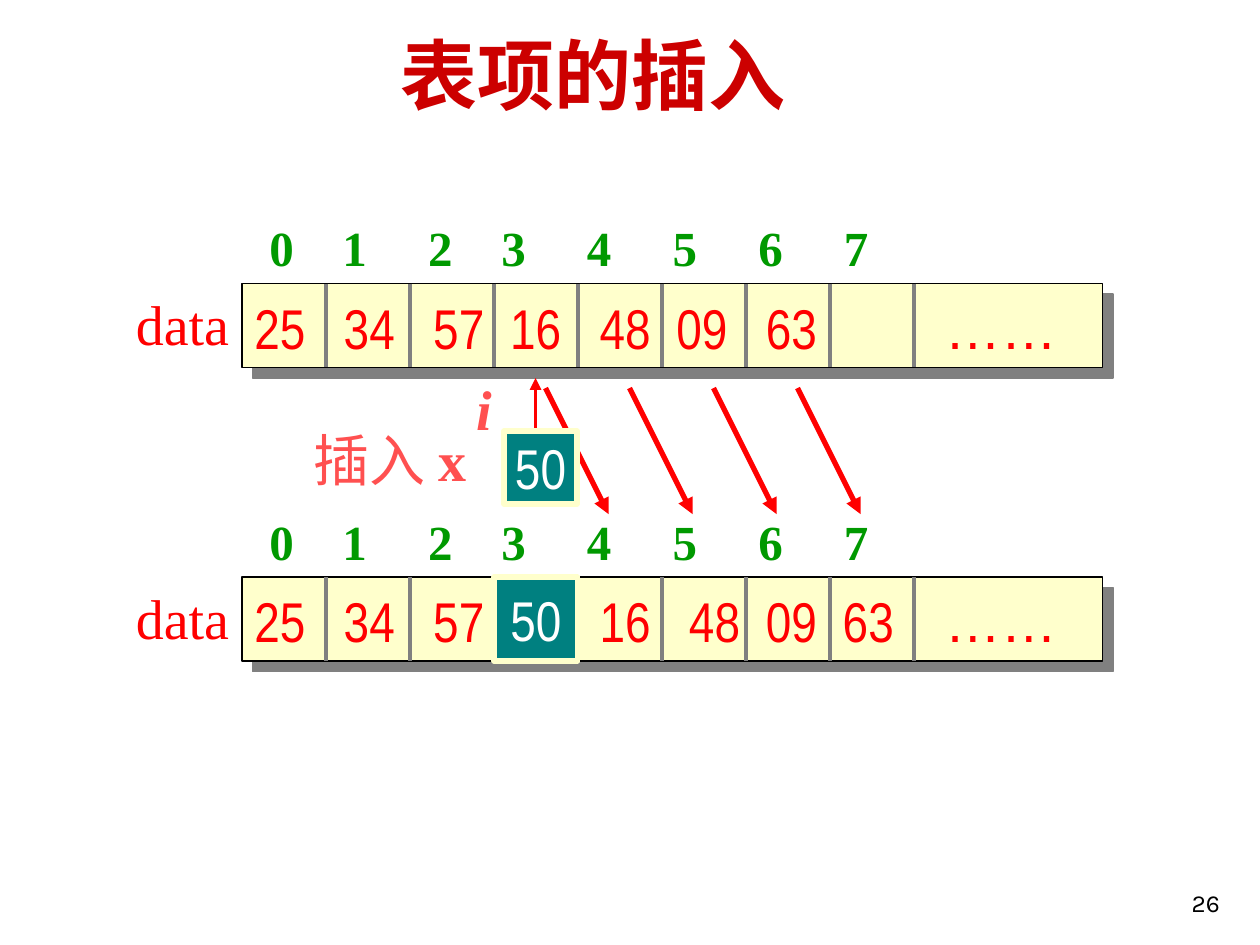
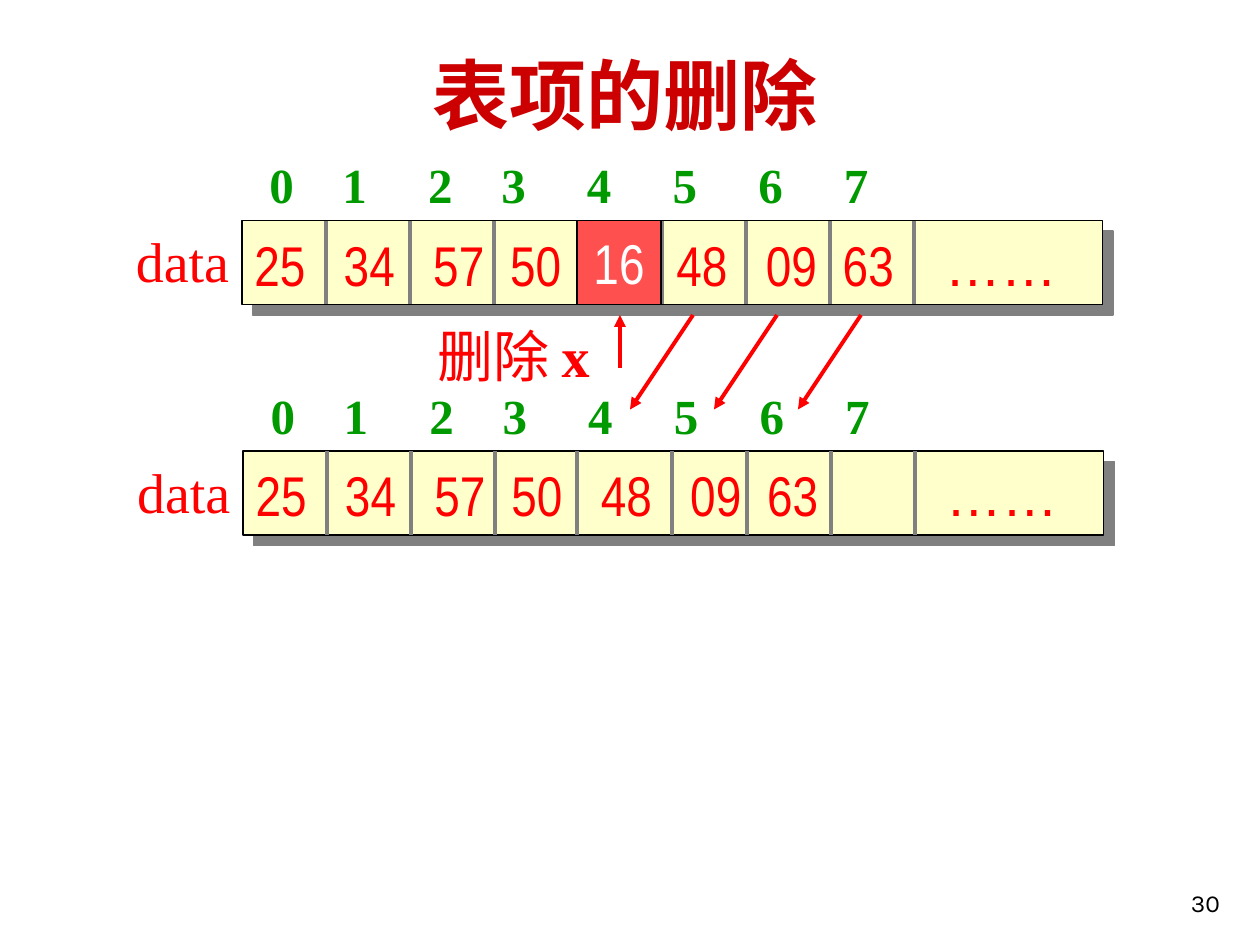
from dataclasses import dataclass
from itertools import accumulate

from lxml import etree
from pptx import Presentation
from pptx.dml.color import RGBColor
from pptx.enum.shapes import MSO_CONNECTOR as Connector, MSO_SHAPE as Shape
from pptx.enum.text import MSO_ANCHOR as Anchor, MSO_AUTO_SIZE as AutoSize, PP_ALIGN as Align
from pptx.oxml.ns import qn
from pptx.util import Inches, Pt


@dataclass(frozen=True)
class Theme:
    title: str = "CC0000"
    red: str = "FF0000"
    coral: str = "FF5050"
    green: str = "009900"
    teal: str = "008080"
    cream: str = "FFFFCC"
    gray: str = "808080"
    white: str = "FFFFFF"
    black: str = "000000"
    serif: str = "Times New Roman"
    narrow: str = "Arial Narrow"
    sans: str = "Arial"
    footer: str = "Karla"
    title_size: int = 44
    value_size: int = 32
    index_size: int = 28
    footer_size: int = 14


THEME = Theme()

# Array geometry, in inches
CELL = 2 / 3
ARRAY_WIDTH = 6.83
WIDE, SLIM = 0.71, 0.61
INDEX_STEPS = [0.58, 0.68, 0.58, 0.68, 0.68, 0.68, 0.68]
ELLIPSIS_TAB = 5.48

# Content: an empty value is a cell covered by a highlighted box
SLIDES = [
    dict(
        title="表项的插入", title_at=(3.08, 0.17), number="26",
        arrays=[
            dict(at=(1.92, 2.25), values=["25", "34", "57", "16", "48", "09", "63"],
                 steps=[WIDE, WIDE, SLIM, WIDE, SLIM, WIDE]),
            dict(at=(1.92, 4.58), values=["25", "34", "57", "", "16", "48", "09", "63"],
                 steps=[WIDE, WIDE, SLIM, WIDE, WIDE, SLIM, SLIM]),
        ],
        moves=dict(start=(4.33, 3.08), shift=(0.5, 1), count=4, weight=3),
        pointer=((4.25, 3.42), (4.25, 3)),
        boxes=[
            dict(value="50", at=(4, 3.42), side=0.58, fill=THEME.teal, edge=THEME.cream, weight=3),
            dict(value="50", at=(3.92, 4.58), side=CELL, fill=THEME.teal, edge=THEME.cream, weight=3),
        ],
        action="插入 ", action_at=(2.39, 3.33, 1.64), action_color=THEME.coral,
        position=("i", (3.68, 2.92, 0.32)),
    ),
    dict(
        title="表项的删除", title_at=(3.33, 0.33), number="30",
        arrays=[
            dict(at=(1.92, 1.75), values=["25", "34", "57", "50", "", "48", "09", "63"],
                 steps=[WIDE, WIDE, SLIM, SLIM, WIDE, WIDE, SLIM]),
            dict(at=(1.93, 3.58), values=["25", "34", "57", "50", "48", "09", "63"],
                 steps=[WIDE, WIDE, SLIM, WIDE, WIDE, SLIM],
                 nudges={4: -0.02, 5: 0.07}),
        ],
        moves=dict(start=(5.5, 2.5), shift=(-0.5, 0.75), count=3, weight=2.25),
        pointer=((4.92, 2.92), (4.92, 2.5)),
        boxes=[
            dict(value="16", at=(4.58, 1.75), side=CELL, fill=THEME.coral, edge=THEME.black, weight=0.75),
        ],
        action="删除 ", action_at=(3.37, 2.5, 1.52), action_color=THEME.red,
        position=None,
    ),
]


# Drawing helpers
def write(frame, text, *, font=THEME.serif, size=THEME.value_size, color=THEME.red,
          bold=False, italic=False, align=Align.LEFT, tabs=()):
    """Append a formatted run to the first paragraph of a frame."""
    paragraph = frame.paragraphs[0]
    paragraph.alignment = align
    if tabs:
        stops = etree.SubElement(paragraph._p.get_or_add_pPr(), qn("a:tabLst"))
        for tab in tabs:
            etree.SubElement(stops, qn("a:tab"), pos=str(Inches(tab)), algn="l")
    run = paragraph.add_run()
    run.text = text
    run.font.name = font
    run.font.size = Pt(size)
    run.font.color.rgb = RGBColor.from_string(color)
    run.font.bold = bold
    run.font.italic = italic


def add_frame(slide, left, top, width, height=0.64, wrap=False):
    frame = slide.shapes.add_textbox(*map(Inches, (left, top, width, height))).text_frame
    frame.word_wrap = wrap
    return frame


def add_rect(slide, left, top, width, height, fill, edge, weight):
    rect = slide.shapes.add_shape(Shape.RECTANGLE, *map(Inches, (left, top, width, height)))
    rect.fill.solid()
    rect.fill.fore_color.rgb = RGBColor.from_string(fill)
    rect.line.color.rgb = RGBColor.from_string(edge)
    rect.line.width = Pt(weight)
    rect.shadow.inherit = False
    return rect


def add_line(slide, start, end, color, weight, arrow=False):
    line = slide.shapes.add_connector(Connector.STRAIGHT, *map(Inches, (*start, *end)))
    line.line.color.rgb = RGBColor.from_string(color)
    line.line.width = Pt(weight)
    properties = line._element.spPr
    if arrow:
        etree.SubElement(properties.find(qn("a:ln")), qn("a:tailEnd"), type="triangle")
    etree.SubElement(properties, qn("a:effectLst"))


def add_hard_shadow(rect):
    effects = rect._element.spPr.find(qn("a:effectLst"))
    shadow = etree.SubElement(effects, qn("a:outerShdw"), blurRad="0", dist=str(Pt(8.5)),
                              dir=str(45 * 60000), algn="ctr", rotWithShape="0")
    etree.SubElement(shadow, qn("a:srgbClr"), val=THEME.gray)


# Slide parts
def add_title(slide, text, at):
    title = slide.shapes.title
    title.left, title.top, title.width, title.height = map(Inches, (*at, 3.28, 0.84))
    frame = title.text_frame
    frame.auto_size = AutoSize.NONE
    frame.word_wrap = True
    frame.vertical_anchor = Anchor.TOP
    write(frame, text, size=THEME.title_size, color=THEME.title, bold=True)


def add_array(slide, at, values, steps, nudges=None):
    left, top = at
    add_hard_shadow(add_rect(slide, left, top, ARRAY_WIDTH, CELL, THEME.cream, THEME.black, 0.75))
    cells = add_frame(slide, left, top + 0.03, 6.74, wrap=True)
    write(cells, "\t".join(values), font=THEME.narrow, tabs=[*accumulate(steps), ELLIPSIS_TAB])
    write(cells, "\t……", font=THEME.sans)
    for divider in range(1, 9):
        x = left + divider * CELL + (nudges or {}).get(divider, 0)
        add_line(slide, (x, top), (x, top + CELL), THEME.gray, 2.25)
    indexes = add_frame(slide, left + 0.12, top - 0.57, 5.1, 0.57, wrap=True)
    write(indexes, "\t".join(map(str, range(8))), size=THEME.index_size, color=THEME.green,
          bold=True, tabs=list(accumulate(INDEX_STEPS)))
    write(add_frame(slide, left - 0.94, top, 0.94), "data")


def add_moves(slide, start, shift, count, weight):
    for step in range(count):
        x, y = start[0] + step * CELL, start[1]
        add_line(slide, (x, y), (x + shift[0], y + shift[1]), THEME.red, weight, arrow=True)


def add_box(slide, value, at, side, fill, edge, weight):
    frame = add_rect(slide, *at, side, side, fill, edge, weight).text_frame
    frame.margin_left = frame.margin_right = frame.margin_top = frame.margin_bottom = 0
    frame.vertical_anchor = Anchor.MIDDLE
    frame.word_wrap = False
    write(frame, value, font=THEME.narrow, color=THEME.white, align=Align.CENTER)


def add_number(slide, number):
    frame = add_frame(slide, 7.7, 6.83, 2.08, 0.5, wrap=True)
    frame.vertical_anchor = Anchor.BOTTOM
    write(frame, number, font=THEME.footer, size=THEME.footer_size, color=THEME.black,
          align=Align.RIGHT)


def build_slide(deck, content):
    slide = deck.slides.add_slide(deck.slide_layouts[5])
    add_title(slide, content["title"], content["title_at"])
    for array in content["arrays"]:
        add_array(slide, **array)
    add_moves(slide, **content["moves"])
    add_line(slide, *content["pointer"], THEME.red, 2.25, arrow=True)
    for box in content["boxes"]:
        add_box(slide, **box)
    action = add_frame(slide, *content["action_at"])
    write(action, content["action"], color=content["action_color"])
    write(action, "x", color=content["action_color"], bold=True)
    if content["position"]:
        name, place = content["position"]
        write(add_frame(slide, *place), name, color=THEME.coral, bold=True, italic=True)
    add_number(slide, content["number"])


def main():
    deck = Presentation()
    deck.slide_width, deck.slide_height = Inches(10), Inches(7.5)
    for content in SLIDES:
        build_slide(deck, content)
    deck.save("out.pptx")


if __name__ == "__main__":
    main()
